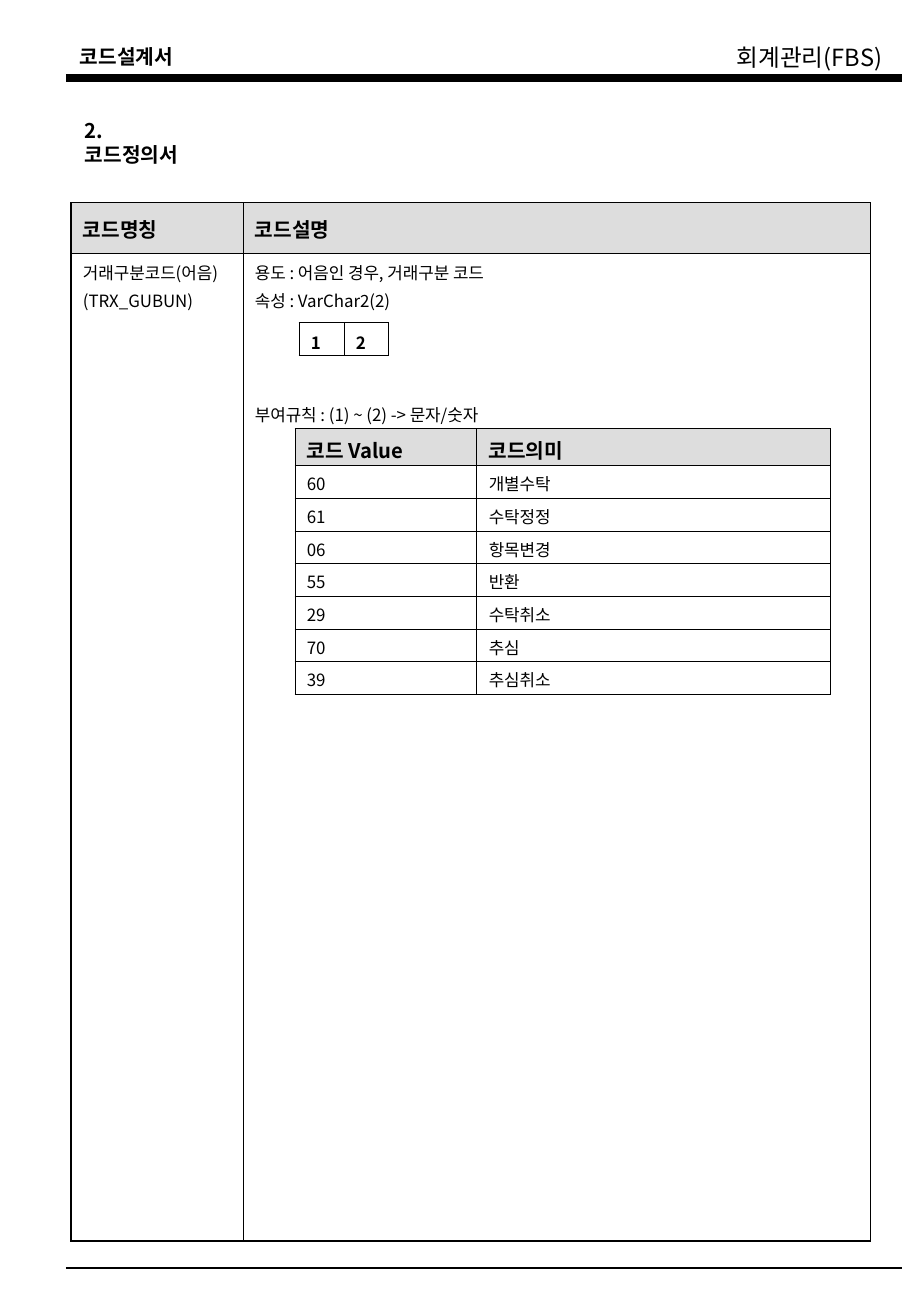
from pptx import Presentation
from pptx.dml.color import RGBColor
from pptx.enum.shapes import MSO_CONNECTOR
from pptx.enum.text import MSO_ANCHOR
from pptx.oxml.ns import qn
from pptx.util import Emu, Inches, Pt
from lxml.etree import SubElement

FONT = "Noto Sans CJK KR"
BLACK, GREY = "000000", "DDDDDD"
PX = 914400 / 121.5

# text, left, top, width, height, format
TEXTS = [
    ("코드설계서", 68, 38, 130, 36, dict(size=12, bold=True)),
    ("회계관리(FBS)", 725, 37, 186, 41, dict(size=14)),
    ("2. 코드정의서", 73, 112, 130, 62, dict(size=12, bold=True)),
]
# top, line width
RULES = [(78, 4.5), (1269, 1)]
RULE_LEFT, RULE_RIGHT = 66, 902

# A cell is a list of (text, points before).
# h_lines and v_lines are the line widths from top to bottom and left to right.
DEFINITION = dict(
    left=71, top=203, widths=[172, 628], heights=[51, 988],
    h_lines=[0.75, 0.45, 0.75], v_lines=[0.75, 0.45, 0.75], header=True,
    rows=[
        [[("코드명칭", 0)], [("코드설명", 0)]],
        [
            [("거래구분코드(어음)", 0), ("(TRX_GUBUN)", 2.5)],
            [("용도 : 어음인 경우, 거래구분 코드", 0),
             ("속성 : VarChar2(2)", 2.5),
             ("부여규칙 : (1) ~ (2) -> 문자/숫자", 53)],
        ],
    ],
)
CODES = [
    ("코드 Value", "코드의미"),
    ("60", "개별수탁"),
    ("61", "수탁정정"),
    ("06", "항목변경"),
    ("55", "반환"),
    ("29", "수탁취소"),
    ("70", "추심"),
    ("39", "추심취소"),
]
CODE_VALUES = dict(
    left=295, top=429, widths=[182, 354], heights=[37] + [229 / 7] * 7,
    h_lines=[0.45, 0.45] + [0.34] * 6 + [0.45], v_lines=[0.45] * 3, header=True,
    rows=[[[(text, 0)] for text in row] for row in CODES],
)
DIGITS = dict(
    left=299, top=323, widths=[45, 45], heights=[33],
    h_lines=[0.45] * 2, v_lines=[0.45] * 3, header=False,
    rows=[[[("1", 0)], [("2", 0)]]],
)


def px(n):
    return Emu(round(n * PX))


def color(value):
    return RGBColor.from_string(value)


def add_text(tf, text, first=True, size=10, bold=False, before=0):
    p = tf.paragraphs[0] if first else tf.add_paragraph()
    p.space_before = Pt(before)
    r = p.add_run()
    r.text = text
    r.font.size, r.font.bold, r.font.name = Pt(size), bold, FONT
    r.font.color.rgb = color(BLACK)
    SubElement(r.font._element, qn("a:ea")).set("typeface", FONT)


def add_rule(s, top, width):
    line = s.shapes.add_connector(
        MSO_CONNECTOR.STRAIGHT, px(RULE_LEFT), px(top), px(RULE_RIGHT), px(top))
    line.line.color.rgb = color(BLACK)
    line.line.width = Pt(width)
    SubElement(line._element.spPr, qn("a:effectLst"))


def set_borders(cell, widths):
    """Draw the left, right, top and bottom lines, ahead of the cell's fill."""
    tc_pr = cell._tc.get_or_add_tcPr()
    for i, (side, width) in enumerate(zip("LRTB", widths)):
        ln = SubElement(tc_pr, qn(f"a:ln{side}"), w=str(int(Pt(width))))
        fill = SubElement(ln, qn("a:solidFill"))
        SubElement(fill, qn("a:srgbClr"), val=BLACK)
        tc_pr.insert(i, ln)


def add_grid(s, left, top, widths, heights, h_lines, v_lines, header, rows):
    table = s.shapes.add_table(
        len(rows), len(widths), px(left), px(top),
        px(sum(widths)), px(sum(heights))).table
    for col, width in zip(table.columns, widths):
        col.width = px(width)
    for i, (row, height) in enumerate(zip(rows, heights)):
        table.rows[i].height = px(height)
        is_header = header and i == 0
        for j, paragraphs in enumerate(row):
            cell = table.cell(i, j)
            cell.margin_left = cell.margin_right = px(12)
            cell.margin_top, cell.margin_bottom = px(6), px(0 if height < 40 else 6)
            if is_header or not header:
                cell.vertical_anchor = MSO_ANCHOR.MIDDLE
            if is_header:
                cell.fill.solid()
                cell.fill.fore_color.rgb = color(GREY)
            else:
                cell.fill.background()
            set_borders(cell, v_lines[j:j + 2] + h_lines[i:i + 2])
            for k, (text, before) in enumerate(paragraphs):
                add_text(cell.text_frame, text, first=k == 0, before=before,
                         size=12 if is_header else 10,
                         bold=is_header or not header)


def main():
    prs = Presentation()
    prs.slide_width, prs.slide_height = Inches(7.5), Inches(10.84)
    s = prs.slides.add_slide(prs.slide_layouts[6])
    for text, left, top, width, height, style in TEXTS:
        sp = s.shapes.add_textbox(px(left), px(top), px(width), px(height))
        sp.text_frame.word_wrap = True
        add_text(sp.text_frame, text, **style)
    for top, width in RULES:
        add_rule(s, top, width)
    for grid in (DEFINITION, CODE_VALUES, DIGITS):
        add_grid(s, **grid)
    prs.save("out.pptx")


if __name__ == "__main__":
    main()
